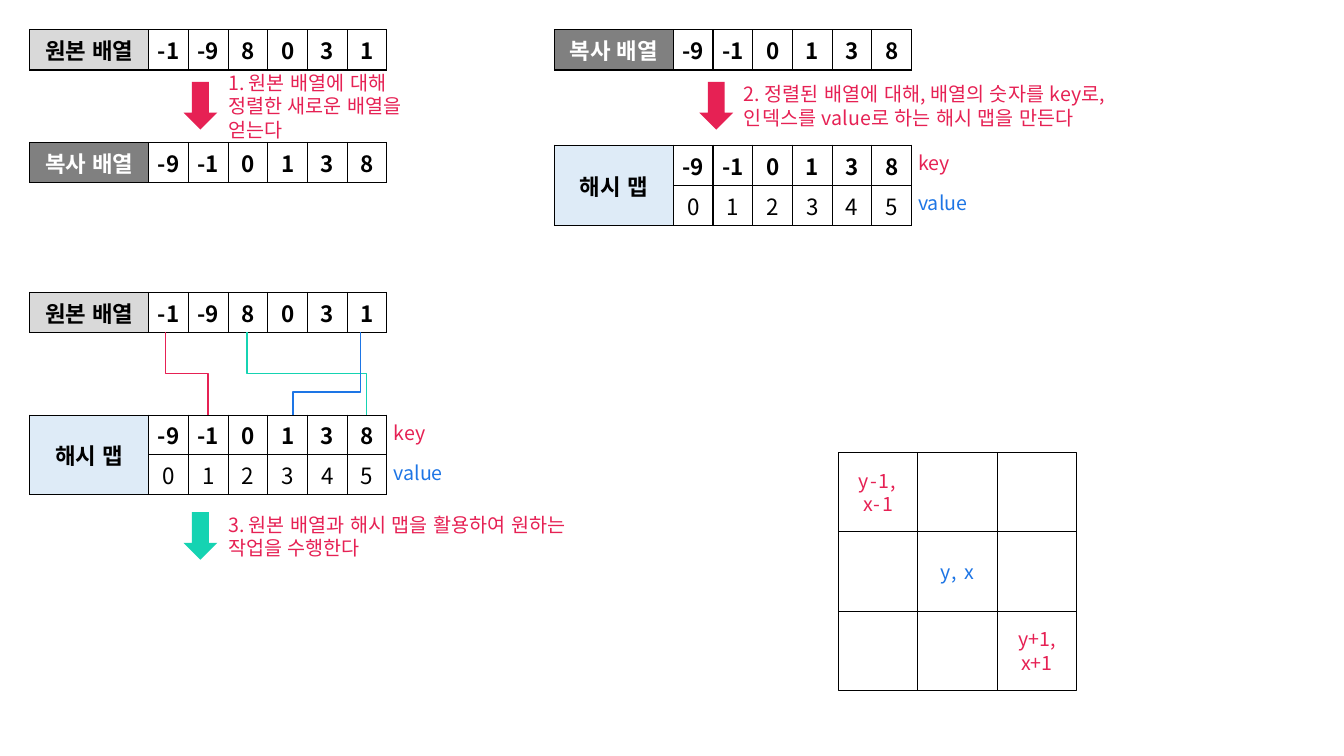
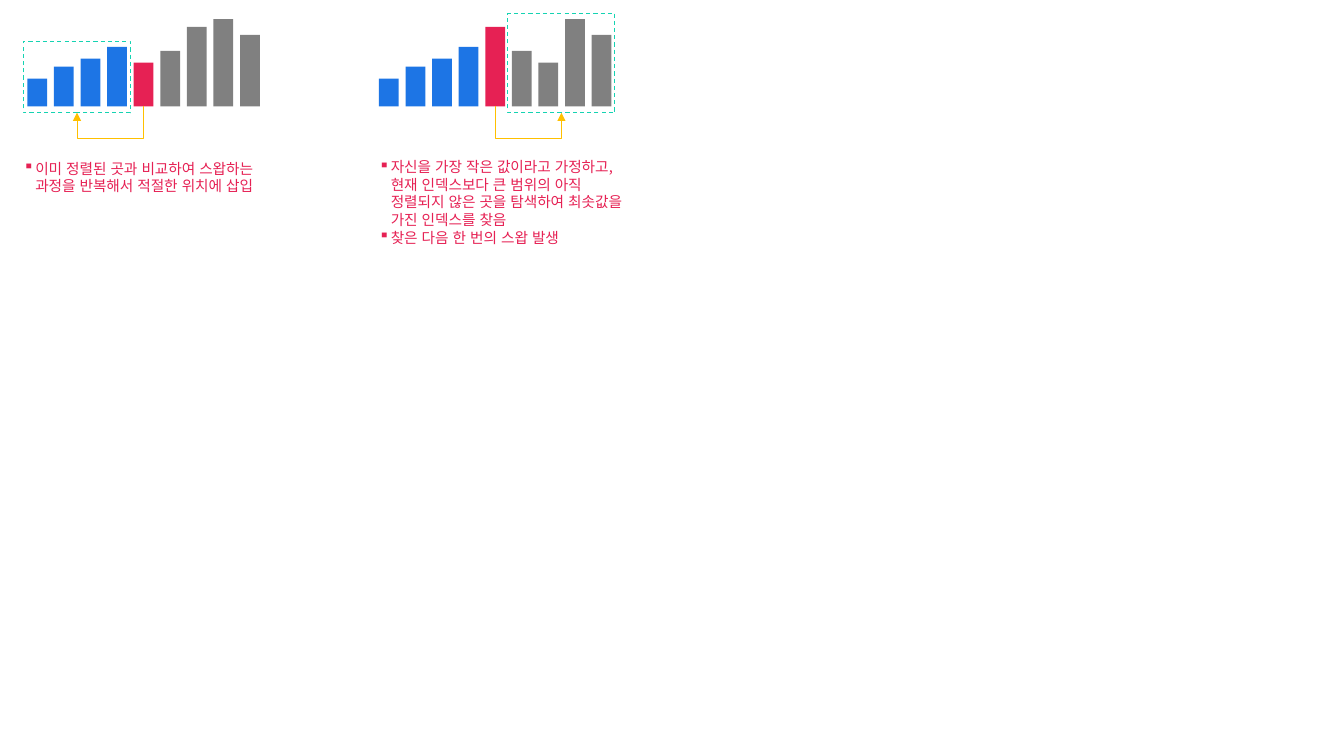
from lxml import etree
from pptx import Presentation
from pptx.dml.color import RGBColor
from pptx.enum.dml import MSO_LINE
from pptx.enum.lang import MSO_LANGUAGE_ID
from pptx.enum.shapes import MSO_CONNECTOR, MSO_SHAPE
from pptx.enum.text import MSO_ANCHOR, PP_ALIGN
from pptx.oxml.ns import qn
from pptx.util import Cm, Pt

RECT, ARROW = MSO_SHAPE.RECTANGLE, MSO_SHAPE.RIGHT_ARROW
ELBOW, DASH = MSO_CONNECTOR.ELBOW, MSO_LINE.DASH
LEFT, CENTER, MIDDLE = PP_ALIGN.LEFT, PP_ALIGN.CENTER, MSO_ANCHOR.MIDDLE
KOREAN = MSO_LANGUAGE_ID.KOREAN
FONT = "Noto Sans CJK KR"

COLORS = {
    "black": "000000", "white": "FFFFFF", "light": "D9D9D9", "gray": "808080",
    "pale": "DEEBF7", "red": "E62154", "blue": "1D75E5", "green": "15D3B2",
    "yellow": "FFC000",
}
RGB = {name: RGBColor.from_string(value) for name, value in COLORS.items()}

CELL = {"vertical_anchor": MIDDLE, "margin_left": Cm(0.1), "margin_right": Cm(0.1),
        "margin_top": Cm(0.1), "margin_bottom": Cm(0.1)}
NOTE = {"vertical_anchor": MIDDLE, "margin_left": 0, "margin_right": Cm(0.1),
        "margin_top": Cm(0.13), "margin_bottom": Cm(0.13), "word_wrap": True}


def write(box, text, size, color, layout, align=LEFT, bold=False):
    """Fill a table cell or text frame, one paragraph per line of text."""
    for key, value in layout.items():
        setattr(box, key, value)
    tf = box.text_frame if hasattr(box, "text_frame") else box
    for i, line in enumerate(text.split("\n")):
        p = tf.add_paragraph() if i else tf.paragraphs[0]
        p.alignment = align
        r = p.add_run()
        r.text = line
        font = {"name": FONT, "size": Pt(size), "bold": bold, "language_id": KOREAN}
        for key, value in font.items():
            setattr(r.font, key, value)
        r.font.color.rgb = RGB[color]
        etree.SubElement(r._r.get_or_add_rPr(), qn("a:ea"), typeface=FONT)
    return tf


def elbow(shapes, x1, y1, x2, y2, turn_y, color, width):
    """Draw a line that goes down to turn_y, across, and on to its end."""
    w, h = y2 - y1, abs(x2 - x1)
    x, y = (x1 + x2 - w) / 2, (y1 + y2 - h) / 2
    c = shapes.add_connector(ELBOW, Cm(x), Cm(y), Cm(x + w), Cm(y + h))
    c.line.color.rgb = RGB[color]
    c.line.width = Pt(width)
    spPr = c.element.spPr
    xfrm = spPr.find(qn("a:xfrm"))
    xfrm.set("rot", "5400000" if x2 < x1 else "16200000")
    if x2 > x1:
        xfrm.set("flipH", "1")
    avLst = spPr.find(qn("a:prstGeom")).find(qn("a:avLst"))
    adj = round((turn_y - y1) / w * 100000)
    etree.SubElement(avLst, qn("a:gd"), name="adj1", fmla=f"val {adj}")
    etree.SubElement(spPr, qn("a:effectLst"))
    return c


prs = Presentation()
prs.slide_width, prs.slide_height = Cm(33.87), Cm(19.05)
blank = prs.slide_layouts[6]

# Slide 1: array compression in three steps
s = prs.slides.add_slide(blank)

# Arrays and hash maps
ORIGINAL, COPIED, HASH = "원본 배열", "복사 배열", "해시 맵"
header_colors = {ORIGINAL: ("light", "black"), COPIED: ("gray", "white"),
                 HASH: ("pale", "black")}
unsorted, ordered = [-1, -9, 8, 0, 3, 1], [-9, -1, 0, 1, 3, 8]
tables = [
    (0.75, 0.75, ORIGINAL, [unsorted]),
    (0.75, 3.59, COPIED, [ordered]),
    (13.97, 0.75, COPIED, [ordered]),
    (13.97, 3.66, HASH, [ordered, range(6)]),
    (0.75, 7.37, ORIGINAL, [unsorted]),
    (0.75, 10.46, HASH, [ordered, range(6)]),
]
for x, y, title, rows in tables:
    fill, ink = header_colors[title]
    table = s.shapes.add_table(len(rows), 7, Cm(x), Cm(y), Cm(9), Cm(len(rows))).table
    table.first_row = table.horz_banding = False
    for i, col in enumerate(table.columns):
        col.width = Cm(1 if i else 3)
    for i, values in enumerate(rows):
        table.rows[i].height = Cm(1)
        for j in range(7):
            cell = table.cell(i, j)
            tcPr = cell._tc.get_or_add_tcPr()
            for side in ("lnL", "lnR", "lnT", "lnB"):
                ln = etree.SubElement(tcPr, qn(f"a:{side}"), w=str(Pt(1)))
                solid = etree.SubElement(ln, qn("a:solidFill"))
                etree.SubElement(solid, qn("a:srgbClr"), val=COLORS["black"])
            cell.fill.solid()
            cell.fill.fore_color.rgb = RGB["white" if j else fill]
            if j:
                write(cell, str(values[j - 1]), 16, "black", CELL, CENTER, i == 0)
            elif i == 0:
                write(cell, title, 16, ink, CELL, CENTER, True)
    if len(rows) > 1:
        table.cell(0, 0).merge(table.cell(1, 0))
        for i, (label, color, width) in enumerate([("key", "red", 1), ("value", "blue", 1.52)]):
            sp = s.shapes.add_textbox(Cm(x + 9.17), Cm(y - 0.05 + i), Cm(width), Cm(1))
            write(sp.text_frame, label, 14, color, NOTE)

# Step arrows with their notes
steps = [
    (4.45, 2.24, 5.59, "red", "1. 원본 배열에 대해 정렬한 새로운 배열을 얻는다"),
    (17.45, 2.24, 9.7, "red",
     "2. 정렬된 배열에 대해, 배열의 숫자를 key로, 인덱스를 value로 하는 해시 맵을 만든다"),
    (4.45, 13.08, 9.7, "green",
     "3. 원본 배열과 해시 맵을 활용하여 원하는 작업을 수행한다"),
]
for x, y, width, color, text in steps:
    sp = s.shapes.add_shape(ARROW, Cm(x), Cm(y), Cm(1.2), Cm(0.85))
    sp.rotation = 90
    sp.shadow.inherit = False
    sp.fill.solid()
    sp.fill.fore_color.rgb = RGB[color]
    sp.line.fill.background()
    sp = s.shapes.add_textbox(Cm(x + 1.3), Cm(y + 0.06), Cm(width), Cm(0.74))
    write(sp.text_frame, text, 14, "red", NOTE)

# Links from array values to hash map keys
for x1, x2, turn_y, color in [(4.17, 5.24, 9.42, "red"), (6.23, 9.23, 9.42, "green"),
                              (9.08, 7.38, 9.88, "blue")]:
    elbow(s.shapes, x1, 8.37, x2, 10.46, turn_y, color, 1)

# Coordinate grid: text, colour and letter spacing by row and column
grid_texts = {(0, 0): ("y-1, x-1", "red", 100), (1, 1): ("y, x", "blue", 100),
              (2, 2): ("y+1, x+1", "red", 0)}
for row in range(3):
    for col in range(3):
        sp = s.shapes.add_shape(RECT, Cm(21.13 + 2 * col), Cm(11.4 + 2 * row), Cm(2), Cm(2))
        sp.shadow.inherit = False
        sp.fill.background()
        sp.line.color.rgb = RGB["black"]
        sp.line.width = Pt(0.75)
        if (row, col) in grid_texts:
            text, color, spacing = grid_texts[row, col]
            tf = write(sp.text_frame, text, 14, color, CELL, CENTER)
            tf.paragraphs[0].runs[0]._r.get_or_add_rPr().set("spc", str(spacing))

# Slide 2: insertion sort and selection sort
s = prs.slides.add_slide(blank)
BASE, PITCH, BAR = 2.68, 0.67, 0.5
FRAME_BOTTOM, FRAME_WIDTH = 2.84, 2.7

# Left edge, bar heights, first framed bar, frame height, note height, note
panels = [
    (0.69, [0.7, 1, 1.2, 1.5, 1.1, 1.4, 2, 2.2, 1.8], 0, 1.8, 0.74,
     "이미 정렬된 곳과 비교하여 스왑하는 과정을 반복해서 적절한 위치에 삽입"),
    (9.55, [0.7, 1, 1.2, 1.5, 2, 1.4, 1.1, 2.2, 1.8], 5, 2.5, 2,
     "자신을 가장 작은 값이라고 가정하고, 현재 인덱스보다 큰 범위의 아직 정렬되지 않은 곳을 "
     "탐색하여 최솟값을 가진 인덱스를 찾음\n찾은 다음 한 번의 스왑 발생"),
]
for x, heights, first, frame_height, note_height, text in panels:
    shapes = s.shapes.add_group_shape().shapes

    # Bars: sorted, current, remaining
    for i, h in enumerate(heights):
        sp = shapes.add_shape(RECT, Cm(x + PITCH * i), Cm(BASE - h), Cm(BAR), Cm(h))
        sp.shadow.inherit = False
        sp.fill.solid()
        sp.fill.fore_color.rgb = RGB["blue" if i < 4 else "red" if i == 4 else "gray"]
        sp.line.fill.background()

    # Dashed frame around the searched range
    frame_x = x + PITCH * first - 0.1
    sp = shapes.add_shape(RECT, Cm(frame_x), Cm(FRAME_BOTTOM - frame_height),
                          Cm(FRAME_WIDTH), Cm(frame_height))
    sp.shadow.inherit = False
    sp.fill.background()
    sp.line.color.rgb = RGB["green"]
    sp.line.width = Pt(0.75)
    sp.line.dash_style = DASH

    # Arrow from the current bar to the frame
    c = elbow(shapes, x + PITCH * 4 + BAR / 2, BASE, frame_x + FRAME_WIDTH / 2,
              FRAME_BOTTOM, 3.48, "yellow", 0.5)
    etree.SubElement(c.element.spPr.find(qn("a:ln")), qn("a:tailEnd"), type="triangle")

    # Bulleted note
    sp = shapes.add_textbox(Cm(x - 0.1 if first == 0 else x), Cm(4.09), Cm(6.6), Cm(note_height))
    tf = write(sp.text_frame, text, 10.5, "red", NOTE)
    for p in tf.paragraphs:
        pPr = p._p.get_or_add_pPr()
        pPr.set("marL", str(Cm(0.3)))
        pPr.set("indent", str(-Cm(0.3)))
        etree.SubElement(pPr, qn("a:buChar"), char="▪")

prs.save("out.pptx")
